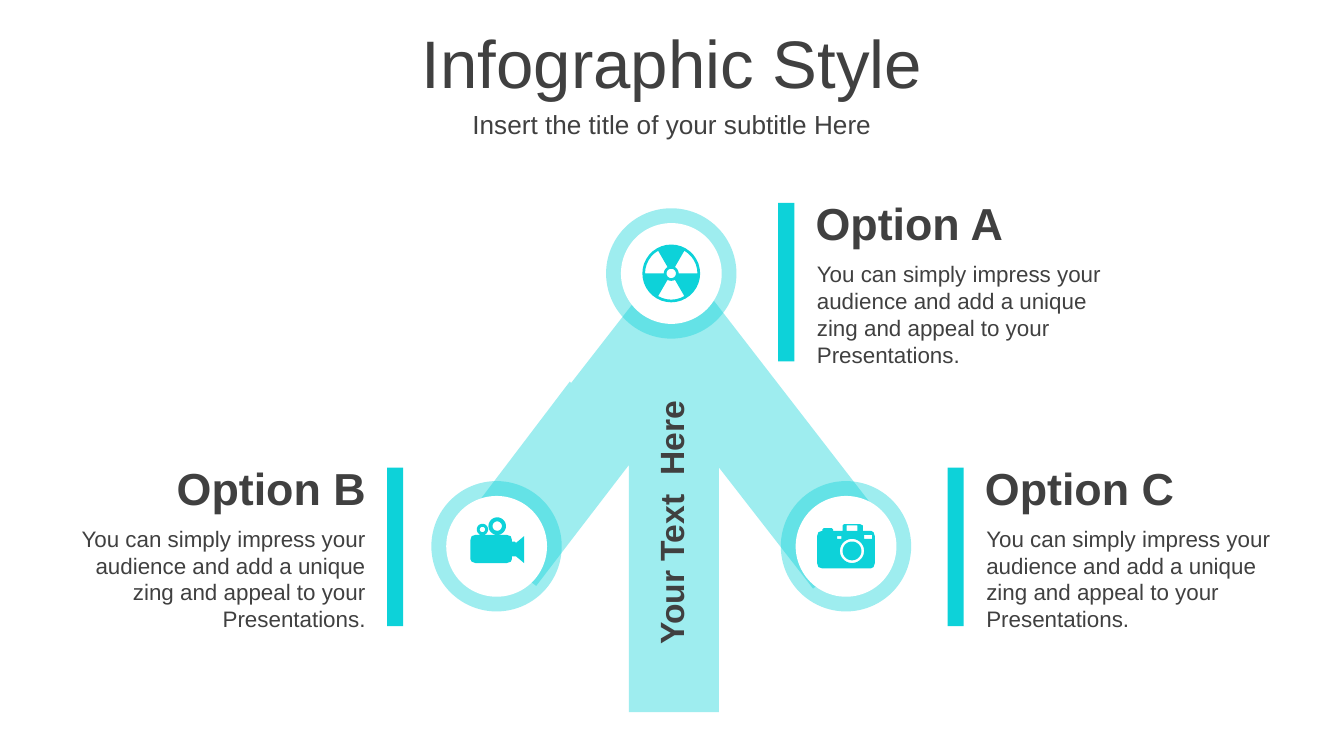
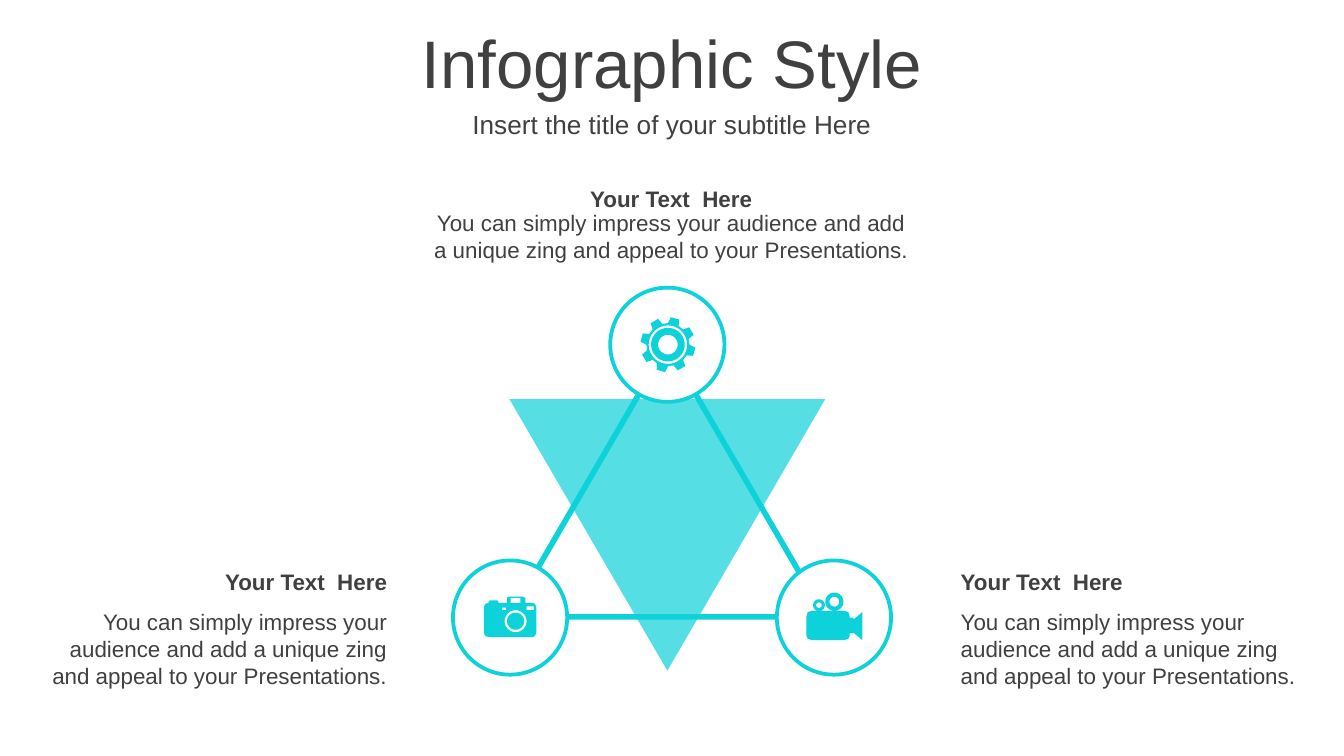
"""Build two infographic slides: a three-way arrow and a triangle of linked circles."""
import math

import lxml.etree
import pptx
import pptx.dml.color
import pptx.enum.shapes
import pptx.enum.text
import pptx.oxml.ns
import pptx.util

Inches = pptx.util.Inches
Preset = pptx.enum.shapes.MSO_SHAPE
Align = pptx.enum.text.PP_ALIGN
ANCHOR_MIDDLE = pptx.enum.text.MSO_ANCHOR.MIDDLE

CYAN = pptx.dml.color.RGBColor(0x0D, 0xD2, 0xD9)
WHITE = pptx.dml.color.RGBColor(0xFF, 0xFF, 0xFF)
DARK = pptx.dml.color.RGBColor(0x40, 0x40, 0x40)
FONT = "Arial"
HEADING = "Your Text  Here"
PITCH = (
    "You can simply impress your audience and add a unique zing "
    "and appeal to your Presentations."
)
DIRECTIONS = [
    (math.cos(math.radians(a)), math.sin(math.radians(a))) for a in range(0, 360, 10)
]


def paint(shape, color, opacity=100):
    """Fill a shape flat, without outline or shadow."""
    shape.shadow.inherit = False
    shape.line.fill.background()
    shape.fill.solid()
    shape.fill.fore_color.rgb = color
    if opacity < 100:
        tint = shape.fill._xPr.find(".//" + pptx.oxml.ns.qn("a:srgbClr"))
        alpha = lxml.etree.SubElement(tint, pptx.oxml.ns.qn("a:alpha"))
        alpha.set("val", str(opacity * 1000))


def draw_outline(slide, icon, left, top, scale, opacity=100):
    """Draw outlines and circles as one cyan freeform with even-odd holes."""
    outlines, circles = icon
    rounds = [[(x + r * c, y + r * s) for c, s in DIRECTIONS] for x, y, r in circles]
    contours = [
        [(Inches(left + x * scale), Inches(top + y * scale)) for x, y in contour]
        for contour in outlines + rounds
    ]
    builder = slide.shapes.build_freeform(*contours[0][0])
    for number, contour in enumerate(contours):
        if number:
            builder.move_to(*contour[0])
        builder.add_line_segments(contour[1:], close=True)
    paint(builder.convert_to_shape(), CYAN, opacity)


ARROW = (
    [[
        (5.02, 1.86), (5.46, 2.43), (6.62, 3.93), (6.05, 4.38), (5.35, 3.48),
        (5.35, 5.3), (4.68, 5.3), (4.68, 3.46), (3.99, 4.36), (3.42, 3.92),
        (4.24, 2.84), (4.25, 2.85),
    ]],
    [],
)
CAMERA = (
    [
        [
            (20, 0), (32, 0), (34, 1), (34, 5), (40, 5), (42, 6), (43, 9),
            (43, 29), (42, 32), (40, 33), (4, 33), (1, 32), (0, 29), (0, 9),
            (1, 6), (4, 5), (4, 4), (5, 3), (11, 3), (12, 4), (12, 5),
            (19, 5), (19, 1),
        ],
        [(15, 9), (15, 11), (18, 11), (18, 9)],
        [(35, 8), (35, 11), (41, 11), (41, 8)],
        [(22, 1), (22, 5), (30, 5), (30, 1)],
    ],
    [(26, 20, 9), (26, 20, 7)],
)
MOVIE_CAMERA = (
    [[
        (4, 13), (27, 13), (30, 14), (31, 17), (31, 18), (33, 18), (34, 19),
        (40, 14), (40, 34), (34, 29), (31, 29), (31, 31), (30, 33), (27, 34),
        (4, 34), (1, 33), (0, 31), (0, 17), (1, 14),
    ]],
    [(20, 6.5, 6.5), (20, 6.5, 3.5), (9, 9, 4.2), (9, 9, 2)],
)

sectors = []
for start in (6, 18, 30):
    arc = [DIRECTIONS[i % 36] for i in range(start, start + 7)]
    sectors.append(
        [(21.5 + 19.5 * c, 21.5 + 19.5 * s) for c, s in arc]
        + [(21.5 + 5.5 * c, 21.5 + 5.5 * s) for c, s in reversed(arc)]
    )
RADIATION = (sectors, [(21.5, 21.5, 21.5), (21.5, 21.5, 3.5)])

teeth = []
for tooth in range(15, 375, 45):
    for offset, radius in ((-15, 16), (-9, 20.5), (9, 20.5), (15, 16)):
        angle = math.radians(tooth + offset)
        teeth.append((20 + radius * math.cos(angle), 20.5 + radius * math.sin(angle)))
GEAR = ([teeth], [(20, 20.5, 14.3), (20, 20.5, 12.5), (20, 20.5, 7.3)])

deck = pptx.Presentation()
deck.slide_width = Inches(10)
deck.slide_height = Inches(10) * 9 // 16

for _ in range(2):
    slide = deck.slides.add_slide(deck.slide_layouts[0])
    for holder, text, top, height, size in (
        (slide.shapes.title, "Infographic Style", 0.14, 0.63, 36),
        (slide.placeholders[1], "Insert the title of your subtitle Here", 0.77, 0.31, 14),
    ):
        holder.left, holder.top = Inches(0), Inches(top)
        holder.width, holder.height = Inches(10), Inches(height)
        frame = holder.text_frame
        frame.text = text
        frame.auto_size = pptx.enum.text.MSO_AUTO_SIZE.NONE
        frame.vertical_anchor = ANCHOR_MIDDLE
        line = frame.paragraphs[0]
        line.alignment = Align.CENTER
        line.space_before = pptx.util.Pt(0)
        font = line.runs[0].font
        font.name, font.size, font.color.rgb = FONT, pptx.util.Pt(size), DARK

arrow_slide, triangle_slide = deck.slides

draw_outline(arrow_slide, ARROW, 0, 0, 1, 40)
for left, top in ((4.51, 1.55), (3.21, 3.58), (5.81, 3.58)):
    for inset, color, opacity in ((0, CYAN, 40), (0.11, WHITE, 100)):
        side = Inches(0.97 - 2 * inset)
        disc = arrow_slide.shapes.add_shape(
            Preset.OVAL, Inches(left + inset), Inches(top + inset), side, side
        )
        paint(disc, color, opacity)
for left, top in ((5.79, 1.51), (7.05, 3.48), (2.88, 3.48)):
    bar = arrow_slide.shapes.add_shape(
        Preset.RECTANGLE, Inches(left), Inches(top), Inches(0.12), Inches(1.18)
    )
    paint(bar, CYAN)

solid_triangle, open_triangle = [
    triangle_slide.shapes.add_shape(
        Preset.ISOSCELES_TRIANGLE, Inches(3.79), Inches(top), Inches(2.35), Inches(2.02)
    )
    for top in (2.97, 2.57)
]
paint(solid_triangle, CYAN, 70)
solid_triangle.rotation = 180
open_triangle.shadow.inherit = False
open_triangle.fill.background()
open_triangle.line.color.rgb = CYAN
open_triangle.line.width = pptx.util.Pt(3)
for left, top in ((4.54, 2.14), (3.37, 4.17), (5.78, 4.17)):
    corner = triangle_slide.shapes.add_shape(
        Preset.OVAL, Inches(left), Inches(top), Inches(0.85), Inches(0.85)
    )
    paint(corner, WHITE)
    corner.line.color.rgb = CYAN
    corner.line.width = pptx.util.Pt(2)

for slide, icon, left, top, scale in (
    (arrow_slide, CAMERA, 6.08, 3.9, 0.01),
    (arrow_slide, MOVIE_CAMERA, 3.5, 3.85, 0.01),
    (arrow_slide, RADIATION, 4.78, 1.82, 0.01),
    (triangle_slide, GEAR, 4.77, 2.36, 0.01),
    (triangle_slide, CAMERA, 3.6, 4.44, 0.0091),
    (triangle_slide, MOVIE_CAMERA, 6, 4.41, 0.0104),
):
    draw_outline(slide, icon, left, top, scale)

captions = [(arrow_slide, HEADING, 3.64, 3.69, 2.7, 0.4, 18, True, Align.CENTER, 270)]
for label, left, top, width, align in (
    ("Option A", 5.97, 1.41, 2.38, Align.LEFT),
    ("Option C", 7.23, 3.38, 2.42, Align.LEFT),
    ("Option B", 0.44, 3.38, 2.38, Align.RIGHT),
):
    captions += [
        (arrow_slide, label, left, top, width, 0.5, 24, True, align, 0),
        (arrow_slide, PITCH, left + 0.01, top + 0.47, width - 0.01, 0.91, 12, False, align, 0),
    ]
for left, top, width, gap, height, align in (
    (0.28, 4.18, 2.7, 0.29, 0.71, Align.RIGHT),
    (7.05, 4.18, 2.7, 0.29, 0.71, Align.LEFT),
    (3.13, 1.33, 3.73, 0.18, 0.5, Align.CENTER),
):
    captions += [
        (triangle_slide, PITCH, left, top + gap, width, height, 12, False, align, 0),
        (triangle_slide, HEADING, left, top, width, 0.3, 12, True, align, 0),
    ]

for slide, text, left, top, width, height, size, bold, align, rotation in captions:
    caption = slide.shapes.add_textbox(
        Inches(left), Inches(top), Inches(width), Inches(height)
    )
    caption.rotation = rotation
    frame = caption.text_frame
    frame.word_wrap = True
    frame.vertical_anchor = ANCHOR_MIDDLE
    frame.text = text
    frame.paragraphs[0].alignment = align
    font = frame.paragraphs[0].runs[0].font
    font.name, font.size, font.bold = FONT, pptx.util.Pt(size), bold
    font.color.rgb = DARK

deck.save("out.pptx")
